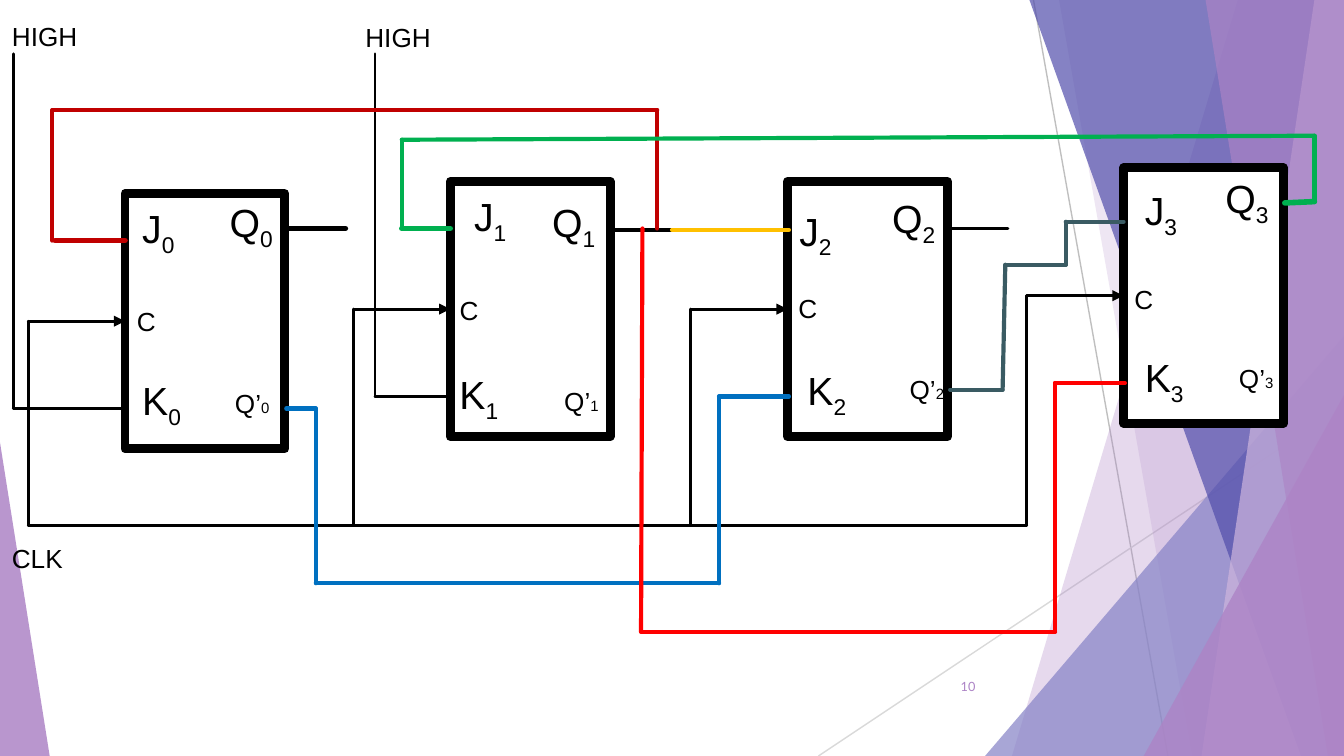
from itertools import pairwise

from lxml.etree import SubElement
from pptx import Presentation
from pptx.dml.color import RGBColor
from pptx.enum.shapes import MSO_CONNECTOR, MSO_SHAPE
from pptx.enum.text import MSO_ANCHOR, MSO_AUTO_SIZE, PP_ALIGN
from pptx.oxml.ns import qn
from pptx.util import Inches, Pt

BLACK = RGBColor(0x00, 0x00, 0x00)
WHITE = RGBColor(0xFF, 0xFF, 0xFF)
CRIMSON = RGBColor(0xC0, 0x00, 0x00)
RED = RGBColor(0xFF, 0x00, 0x00)
GREEN = RGBColor(0x00, 0xB0, 0x50)
BLUE = RGBColor(0x00, 0x70, 0xC0)
YELLOW = RGBColor(0xFF, 0xC0, 0x00)
SLATE = RGBColor(0x3A, 0x5B, 0x63)
PURPLE = RGBColor(0xAD, 0x84, 0xC6)
PALE_PURPLE = RGBColor(0xCE, 0xB5, 0xDD)
PERIWINKLE = RGBColor(0x87, 0x84, 0xC7)
INDIGO = RGBColor(0x52, 0x4E, 0xAB)
GREY = RGBColor(0xBF, 0xBF, 0xBF)
LIGHT_GREY = RGBColor(0xD9, 0xD9, 0xD9)

WIDTH = 10
HEIGHT = WIDTH * 9 / 16
THIN, MEDIUM, THICK = 1.5, 2.25, 3


class Circuit:
    font = "Arial"

    def __init__(self, slide):
        self.slide = slide

    def _tint(self, shape, color, opacity):
        shape.shadow.inherit = False
        shape.fill.solid()
        shape.fill.fore_color.rgb = color
        shape.line.fill.background()
        choice = shape.fill._xPr.find(qn("a:solidFill"))[0]
        SubElement(choice, qn("a:alpha")).set("val", str(opacity * 1000))

    def band(self, points, color, opacity):
        """Translucent polygon."""
        corners = [(Inches(x), Inches(y)) for x, y in points]
        builder = self.slide.shapes.build_freeform(*corners[0])
        builder.add_line_segments(corners[1:], close=True)
        self._tint(builder.convert_to_shape(), color, opacity)

    def triangle(self, box, apex, color, opacity):
        shape = self.slide.shapes.add_shape(
            MSO_SHAPE.ISOSCELES_TRIANGLE, *map(Inches, box))
        shape.adjustments[0] = apex
        self._tint(shape, color, opacity)

    def block(self, left, top):
        shape = self.slide.shapes.add_shape(
            MSO_SHAPE.RECTANGLE, *map(Inches, (left, top, 1.19, 1.9)))
        shape.shadow.inherit = False
        shape.fill.solid()
        shape.fill.fore_color.rgb = WHITE
        shape.line.color.rgb = BLACK
        shape.line.width = Pt(4.75)
        SubElement(shape.line._get_or_add_ln(), qn("a:round"))

    def wire(self, color, width, *points, arrow=False):
        """Straight segments through the points, with an arrow on the last."""
        for start, end in pairwise(points):
            line = self.slide.shapes.add_connector(
                MSO_CONNECTOR.STRAIGHT, *map(Inches, start + end))
            line.line.color.rgb = color
            line.line.width = Pt(width)
            ln = line.line._get_or_add_ln()
            ln.set("cap", "rnd")
            SubElement(ln, qn("a:round"))
            if arrow and end == points[-1]:
                SubElement(ln, qn("a:tailEnd")).set("type", "triangle")
            SubElement(line._element.spPr, qn("a:effectLst"))

    def label(self, box, text, size=14, sub="", sub_size=None, wrap=True,
              align=PP_ALIGN.LEFT, color=BLACK, font=font, fit=True):
        """Text with an optional index: lowered, or smaller if sub_size is set."""
        frame = self.slide.shapes.add_textbox(*map(Inches, box)).text_frame
        frame.word_wrap = wrap
        if fit:
            frame.auto_size = MSO_AUTO_SIZE.SHAPE_TO_FIT_TEXT
        else:
            frame.vertical_anchor = MSO_ANCHOR.MIDDLE
        paragraph = frame.paragraphs[0]
        paragraph.alignment = align
        for part, points in ((text, size), (sub, sub_size or size)):
            if not part:
                continue
            run = paragraph.add_run()
            run.text = part
            run.font.size = Pt(points)
            run.font.name = font
            run.font.color.rgb = color
            if part == sub and not sub_size:
                run.font._element.set("baseline", "-25000")


prs = Presentation()
prs.slide_width, prs.slide_height = Inches(WIDTH), Inches(HEIGHT)
circuit = Circuit(prs.slides.add_slide(prs.slide_layouts[6]))

# Background facets
circuit.wire(GREY, 0.75, (7.69, 0), (8.69, HEIGHT))
circuit.wire(LIGHT_GREY, 0.75, (WIDTH, 3.02), (6.09, HEIGHT))


def facet(top_x, bottom_x, color, opacity):
    circuit.band([(top_x, 0), (WIDTH, 0), (WIDTH, HEIGHT), (bottom_x, HEIGHT)],
                 color, opacity)


facet(9.21, 7.53, PURPLE, 30)
facet(7.88, 8.87, PURPLE, 20)
circuit.triangle((7.33, 2.5, 2.67, HEIGHT - 2.5), 1, PERIWINKLE, 72)
facet(7.66, 9.68, INDIGO, 70)
facet(9.78, 8.94, PALE_PURPLE, 70)
facet(8.97, 9.88, PURPLE, 65)
circuit.triangle((8.51, 2.94, 1.49, HEIGHT - 2.94), 1, PURPLE, 80)
circuit.triangle((0, 3.29, 0.37, HEIGHT - 3.29), 0, PURPLE, 85)

# Page number
circuit.label((7.05, 4.96, 0.56, 0.3), "10", 6.8, color=PURPLE, font="Lato",
              fit=False)

# Flip-flops: block corner, then label corners for J, Q, K, Q' and C
CLOCK_Y = 3.91
flip_flops = [
    ((0.93, 1.44), (0.96, 1.47), (1.61, 1.43), (0.96, 2.75), (1.65, 2.83), (0.92, 2.22)),
    ((3.35, 1.35), (3.43, 1.38), (4.01, 1.43), (3.32, 2.71), (4.10, 2.82), (3.32, 2.14)),
    ((5.86, 1.35), (5.85, 1.49), (6.54, 1.40), (5.91, 2.68), (6.67, 2.73), (5.84, 2.13)),
    ((8.36, 1.25), (8.42, 1.34), (9.02, 1.25), (8.42, 2.58), (9.12, 2.65), (8.34, 2.06)),
]
for index, (corner, j, q, k, q_bar, c) in enumerate(flip_flops):
    left, top = corner
    circuit.block(left, top)
    clock_in = top + 0.95
    circuit.wire(BLACK, THIN, (left - 0.72, CLOCK_Y), (left - 0.72, clock_in),
                 (left, clock_in), arrow=True)
    for name, place in (("J", j), ("Q", q), ("K", k)):
        circuit.label((*place, 0.67, 0.63), name, 21, sub=str(index))
    circuit.label((*q_bar, 0.46, 0.34), "Q’", sub=str(index), sub_size=8)
    circuit.label((*c, 0.34, 0.34), "C", wrap=False, align=PP_ALIGN.CENTER)

# Clock line and open outputs
circuit.wire(BLACK, THIN, (7.64, CLOCK_Y), (0.21, CLOCK_Y))
circuit.wire(BLACK, THICK, (2.13, 1.7), (2.57, 1.7))
circuit.wire(BLACK, MEDIUM, (4.55, 1.71), (5, 1.71))
circuit.wire(BLACK, THIN, (7.05, 1.7), (7.5, 1.7))

# HIGH inputs to K0 and K1
circuit.wire(BLACK, THIN, (0.93, 3.04), (0.42, 3.04), (0.1, 3.04), (0.1, 0.4))
circuit.wire(BLACK, THIN, (3.36, 2.95), (2.79, 2.95), (2.79, 0.4))

# Q1 to J0
circuit.wire(CRIMSON, THICK, (0.41, 1.79), (0.93, 1.79))
circuit.wire(CRIMSON, MEDIUM, (0.39, 1.79), (0.39, 0.82), (4.89, 0.82),
             (4.89, 1.7))
# Q3 to J1
circuit.wire(GREEN, THICK, (2.99, 1.7), (3.35, 1.7))
circuit.wire(GREEN, MEDIUM, (2.99, 1.7), (2.99, 1.04), (9.78, 1.01), (9.78, 1.5))
circuit.wire(GREEN, THICK, (9.56, 1.51), (9.78, 1.5))
# Q1 to J2
circuit.wire(YELLOW, MEDIUM, (5, 1.71), (5.35, 1.71), (5.87, 1.71))
# Q'2 to J3
circuit.wire(SLATE, MEDIUM, (7.07, 2.9), (7.46, 2.9), (7.48, 1.97),
             (7.93, 1.97), (7.93, 1.65), (8.36, 1.65))
# Q'0 to K2
circuit.wire(BLUE, MEDIUM, (2.13, 3.04), (2.35, 3.04), (2.35, 4.34),
             (5.35, 4.34), (5.35, 2.95), (5.87, 2.95))
# Q1 to K3
circuit.wire(RED, MEDIUM, (4.78, 1.7), (4.77, 4.7), (7.85, 4.7), (7.85, 2.85),
             (8.37, 2.85))

# Signal names
circuit.label((-0.01, 0.1, 0.79, 0.34), "HIGH")
circuit.label((2.62, 0.11, 0.79, 0.34), "HIGH")
circuit.label((-0.01, 3.99, 0.73, 0.34), "CLK")

prs.save("out.pptx")
